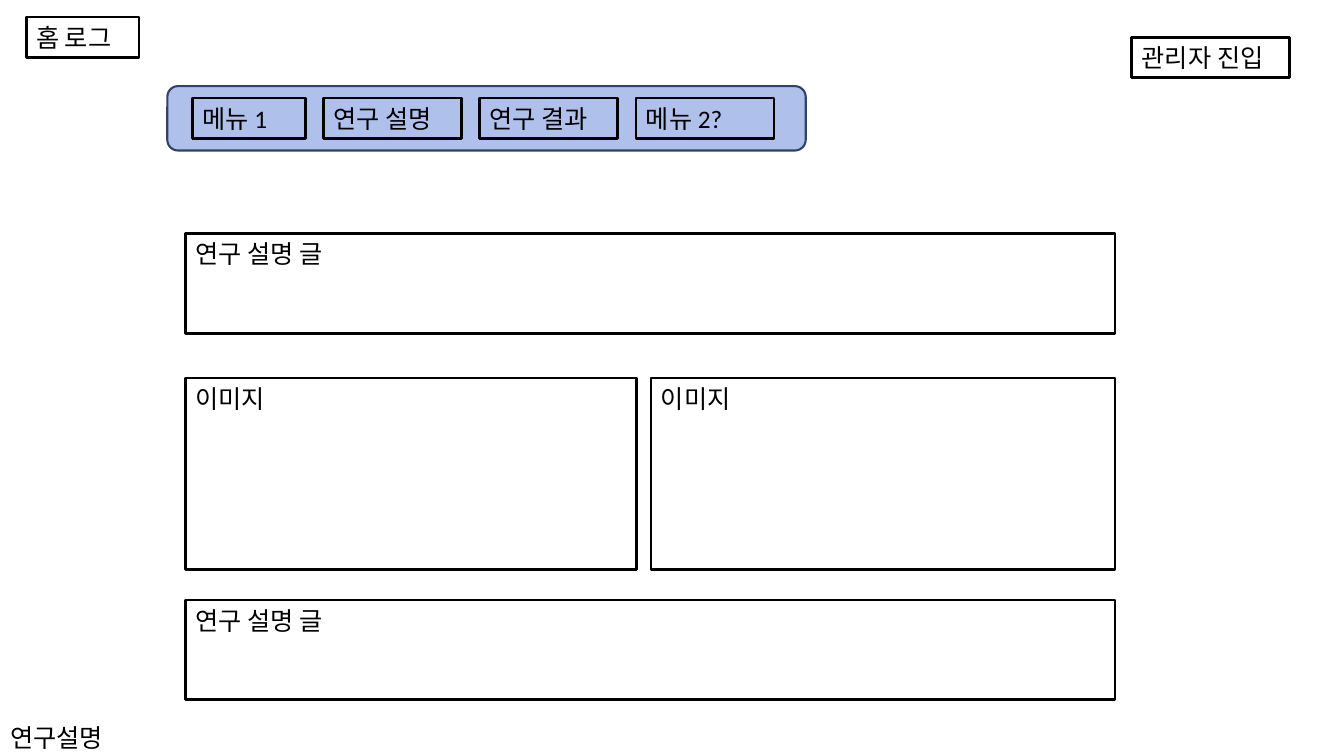
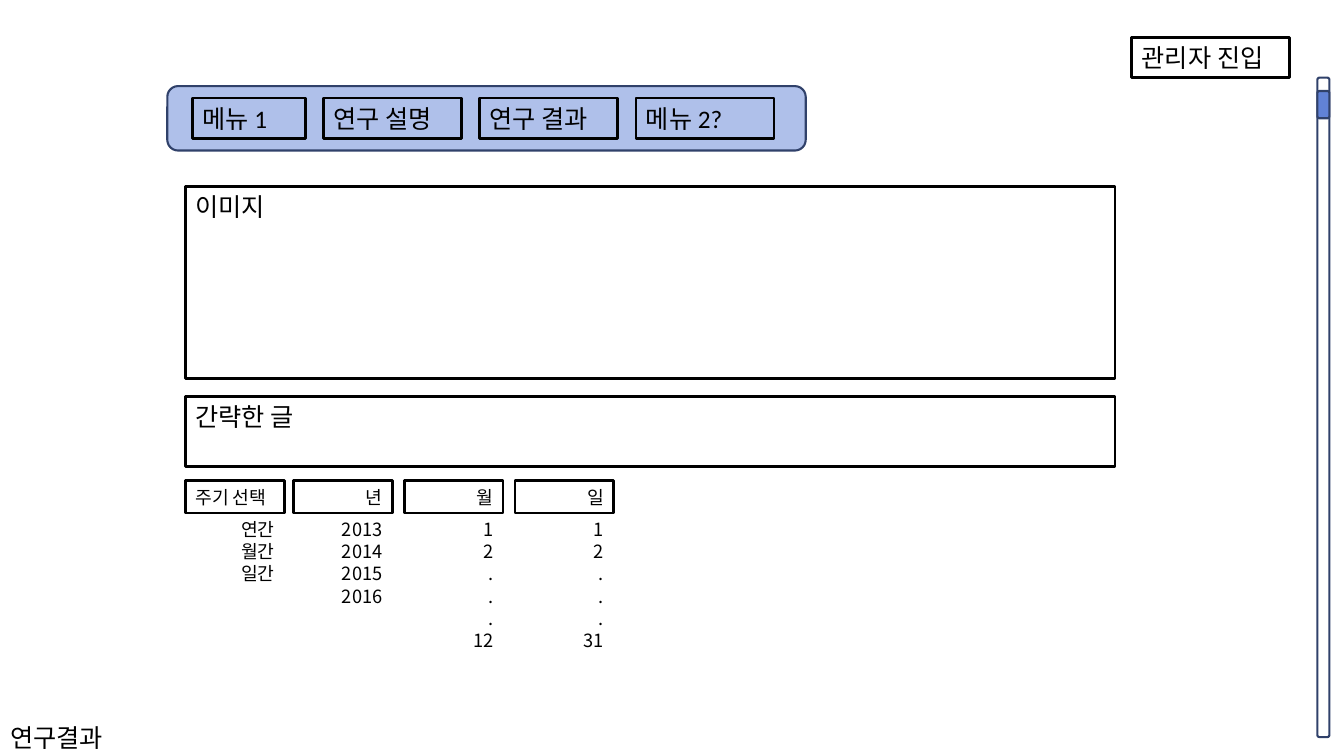
from lxml import etree
from pptx import Presentation
from pptx.dml.color import RGBColor
from pptx.enum import shapes, text
from pptx.oxml import ns
from pptx.util import Pt

COLORS = {"ink": "000000", "paper": "FFFFFF", "blue": "6182D6", "edge": "30416A"}
FONT, DIGITS = "Calibri", "Noto Sans CJK KR"
LEFT, WIDE = 132.5, 664
LINE = 15.84
KIND = shapes.MSO_SHAPE


def color(name):
    """Return the named colour."""
    return RGBColor.from_string(COLORS[name])


def write(frame, lines, size=18, font=FONT, right=False, space=None):
    """Put lines of text in a frame, one paragraph each."""
    frame.word_wrap = True
    frame.auto_size = text.MSO_AUTO_SIZE.NONE
    frame.vertical_anchor = text.MSO_ANCHOR.TOP
    for i, line in enumerate(lines):
        para = frame.add_paragraph() if i else frame.paragraphs[0]
        para.alignment = text.PP_ALIGN.RIGHT if right else text.PP_ALIGN.LEFT
        if space:
            para.line_spacing = Pt(space)
        run = para.add_run()
        run.text = line
        run.font.size = Pt(size)
        run.font.color.rgb = color("ink")
        run.font.name = font
        east = etree.SubElement(run.font._element, ns.qn("a:ea"))
        east.set("typeface", font)


def shape(slide, kind, x, y, w, h, fill=None, line="edge", weight=1.5, alpha=None):
    """Draw a preset shape; alpha is the opacity in percent."""
    item = slide.shapes.add_shape(kind, Pt(x), Pt(y), Pt(w), Pt(h))
    item.shadow.inherit = False
    item.line.color.rgb = color(line)
    item.line.width = Pt(weight)
    if fill:
        item.fill.solid()
        item.fill.fore_color.rgb = color(fill)
    else:
        item.fill.background()
    if alpha:
        tint = item._element.spPr.find(ns.qn("a:solidFill"))[0]
        etree.SubElement(tint, ns.qn("a:alpha")).set("val", str(alpha * 1000))
    return item


def box(slide, label, x, y, w, h=29, **style):
    """Draw a black frame with a label at its top."""
    item = shape(slide, KIND.RECTANGLE, x, y, w, h, line="ink", weight=2)
    write(item.text_frame, [label], **style)


def menu(slide):
    """Draw the menu band with its four buttons."""
    shape(slide, KIND.ROUNDED_RECTANGLE, 119.5, 61.5, 456, 46, fill="blue", alpha=50)
    x = 137.5
    for label, w in (("메뉴 1", 80.6), ("연구 설명", 98.6),
                     ("연구 결과", 98.6), ("메뉴 2?", 98.6)):
        box(slide, label, x, 70, w)
        x += w + 13


def picker(slide, x, label, items, font=DIGITS, right=True):
    """Draw a drop-down box with its open list below."""
    top, w, h = 343.5, 70.6, 23
    box(slide, label, x, top, w, h, size=13, right=right)
    area = slide.shapes.add_textbox(Pt(x), Pt(top + h), Pt(w),
                                    Pt(len(items) * LINE + 7.2))
    write(area.text_frame, items, size=13, font=font, right=True, space=LINE)


def scroll(slide):
    """Draw the scroll bar: its track and its thumb."""
    for y, h, fill in ((55.5, 471, "paper"), (65, 19.5, "blue")):
        shape(slide, KIND.FLOWCHART_ALTERNATE_PROCESS, 941, y, 8.6, h, fill=fill)


def page(deck, name):
    """Add a page with its name at the foot, the menu and the login."""
    slide = deck.slides.add_slide(deck.slide_layouts[5])
    title = slide.shapes.title
    title.left, title.top, title.width, title.height = Pt(0), Pt(512), Pt(99.4), Pt(28)
    write(title.text_frame, [name])
    menu(slide)
    box(slide, "관리자 진입", 808.5, 26.5, 112.5)
    return slide


def about(deck):
    """Build the page that explains the study."""
    slide = page(deck, "연구설명")
    box(slide, "홈 로그", 18.7, 12.2, 80.6)
    for y in (167, 428.5):
        box(slide, "연구 설명 글", LEFT, y, WIDE, 71)
    for x, w in ((LEFT, 322), (465, LEFT + WIDE - 465)):
        box(slide, "이미지", x, 270, w, 136.8)


def result(deck):
    """Build the page that shows the results."""
    slide = page(deck, "연구결과")
    box(slide, "이미지", LEFT, 133.4, WIDE, 136.8)
    box(slide, "간략한 글", LEFT, 283, WIDE, 50.4)
    picker(slide, LEFT, "주기 선택", ["연간", "월간", "일간"], font=FONT, right=False)
    lists = (("년", [str(year) for year in range(2013, 2017)]),
             ("월", ["1", "2", ".", ".", ".", "12"]),
             ("일", ["1", "2", ".", ".", ".", "31"]))
    for i, (label, items) in enumerate(lists):
        picker(slide, 209.5 + i * 79.2, label, items)
    scroll(slide)


def main():
    """Build and save the deck."""
    deck = Presentation()
    deck.slide_width, deck.slide_height = Pt(960), Pt(540)
    about(deck)
    result(deck)
    deck.save("out.pptx")


main()
